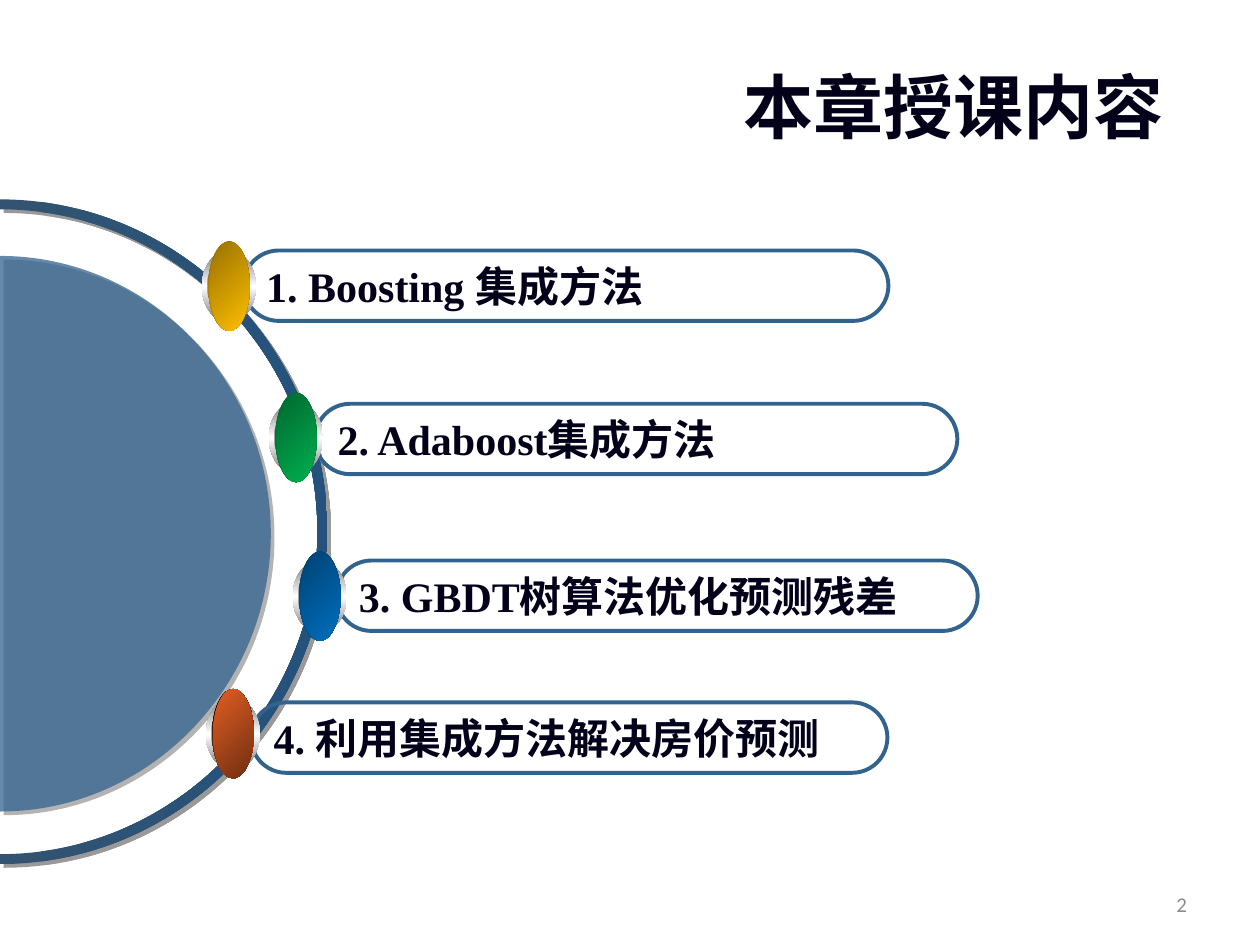
import copy

import pptx
import pptx.dml.color
import pptx.enum.shapes
import pptx.enum.text
import pptx.oxml
import pptx.oxml.ns
import pptx.util
from pptx.oxml.ns import qn
from pptx.util import Cm

SHAPES = pptx.enum.shapes.MSO_SHAPE
ALIGN = pptx.enum.text.PP_ALIGN
INK = "03001A"
BLUE = "32628E"
CJK = "Noto Sans CJK SC"
SERIF = "Times New Roman"
PILL_HEIGHT = 1.42
ARC_HANDLE = 0.55

TOPICS = [
    ([("4. 利用集成方法解决房价预测", SERIF)],
     (5.06, 14.16, 12.83), (4.15, 14.07), ["000000", "E35E23"], ["E35E23", "6E2E11"]),
    ([("3. GBDT树算法优化预测残差", SERIF)],
     (6.78, 11.3, 12.93), (5.9, 11.3), ["004271", "005EA1"], ["004271", "006FBF"]),
    ([("2. Adaboost集成方法", SERIF)],
     (6.35, 8.14, 12.95), (5.42, 8.1), ["00682F", "009443"], ["00682F", "00AF4F"]),
    ([("1. Boosting ", SERIF), ("集成方法", CJK)],
     (4.91, 5.05, 13), (4.07, 5.05), ["977100", "D6A100"], ["977100", "FFBF00"]),
]


def rgb(colour):
    return pptx.dml.color.RGBColor.from_string(colour)


def xml(markup):
    return pptx.oxml.parse_xml(markup.replace(">", f" {pptx.oxml.ns.nsdecls('a')}>", 1))


def format_run(run, size, font, colour, bold):
    run.font.size = pptx.util.Pt(size)
    run.font.name = font
    run.font.bold = bold
    run.font.color.rgb = rgb(colour)
    latin = run.font._element.find(qn("a:latin"))
    latin.addnext(xml(f'<a:ea typeface="{CJK}"></a:ea>'))


def fill_gradient(shape, colours, angle):
    shape.fill.gradient()
    shape.fill.gradient_angle = -angle % 360
    stop_list = shape._element.spPr.find(".//" + qn("a:gsLst"))
    for _ in colours[2:]:
        stop_list.append(copy.deepcopy(stop_list[-1]))
    for index, (stop, colour) in enumerate(zip(shape.fill.gradient_stops, colours)):
        stop.color.rgb = rgb(colour)
        stop.position = index / (len(colours) - 1)


def cast_shadow(shape):
    shape.shadow.inherit = False
    shape._element.spPr.find(qn("a:effectLst")).append(xml(
        '<a:outerShdw dist="38100" dir="2700000" algn="ctr" rotWithShape="0">'
        '<a:srgbClr val="000000"><a:alpha val="40000"/></a:srgbClr></a:outerShdw>'))


def half_ellipse(centre_y, radius_x, radius_y):
    return [(Cm(0), Cm(centre_y - radius_y)), (Cm(radius_x), Cm(centre_y)),
            (Cm(0), Cm(centre_y + radius_y))]


def round_quarters(outline):
    start_x = start_y = None
    for segment in list(outline._element.spPr.find(".//" + qn("a:path"))):
        point = segment.find(qn("a:pt"))
        if point is None:
            continue
        end_x, end_y = int(point.get("x")), int(point.get("y"))
        if segment.tag == qn("a:lnTo") and start_x != end_x:
            reach_x = round(ARC_HANDLE * (end_x - start_x))
            reach_y = round(ARC_HANDLE * (end_y - start_y))
            if start_x == 0:
                handles = [(start_x + reach_x, start_y), (end_x, end_y - reach_y)]
            else:
                handles = [(start_x, start_y + reach_y), (end_x - reach_x, end_y)]
            points = "".join(f'<a:pt x="{x}" y="{y}"/>' for x, y in handles + [(end_x, end_y)])
            curve = xml(f"<a:cubicBezTo>{points}</a:cubicBezTo>")
            segment.getparent().replace(segment, curve)
        start_x, start_y = end_x, end_y


def add_outline(slide, points):
    builder = slide.shapes.build_freeform(*points[0])
    builder.add_line_segments(points[1:], close=True)
    outline = builder.convert_to_shape()
    round_quarters(outline)
    outline.line.fill.background()
    cast_shadow(outline)
    return outline


def add_half_circles(slide):
    outer = half_ellipse(10.72, 6.6, 6.7)
    inner = half_ellipse(10.72, 6.4, 6.5)
    ring = add_outline(slide, outer + inner[::-1])
    fill_gradient(ring, ["335370", "24527D"], 0)

    disc = add_outline(slide, half_ellipse(10.76, 5.46, 5.6))
    disc.fill.solid()
    disc.fill.fore_color.rgb = rgb(BLUE)
    disc_colour = disc._element.spPr.find(qn("a:solidFill")).find(qn("a:srgbClr"))
    disc_colour.append(xml('<a:alpha val="75000"></a:alpha>'))


def add_pill(slide, texts, left, top, width):
    pill = slide.shapes.add_shape(
        SHAPES.ROUNDED_RECTANGLE, Cm(left), Cm(top), Cm(width), Cm(PILL_HEIGHT))
    pill.adjustments[0] = 0.5
    pill.shadow.inherit = False
    pill.fill.background()
    pill.line.color.rgb = rgb(BLUE)
    pill.line.width = pptx.util.Pt(2.25)
    frame = pill.text_frame
    frame.word_wrap = True
    frame.vertical_anchor = pptx.enum.text.MSO_ANCHOR.MIDDLE
    paragraph = frame.paragraphs[0]
    paragraph.alignment = ALIGN.LEFT
    for text, font in texts:
        run = paragraph.add_run()
        run.text = text
        format_run(run, 24, font, INK, True)


def add_bead(slide, left, top, shade, face):
    layers = [
        (0, 0, 1.09, 1.45, ["767676", "FFFFFF", "767676"], 90),
        (0.1, 0.15, 0.86, 1.14, ["A2A2A2", "FFFFFF", "A2A2A2"], 0),
        (0.13, -0.18, 0.84, 1.8, shade, 45),
        (0.15, -0.18, 0.81, 1.8, face, 45),
    ]
    for shift_x, shift_y, width, height, colours, angle in layers:
        layer = slide.shapes.add_shape(
            SHAPES.OVAL, Cm(left + shift_x), Cm(top + shift_y), Cm(width), Cm(height))
        layer.shadow.inherit = False
        layer.line.fill.background()
        fill_gradient(layer, colours, angle)


def set_title(slide, text):
    title = slide.shapes.title
    title.left, title.top, title.width, title.height = Cm(0.85), Cm(0.93), Cm(22.86), Cm(2.39)
    frame = title.text_frame
    frame.text = text
    frame.auto_size = pptx.enum.text.MSO_AUTO_SIZE.NONE
    frame.vertical_anchor = pptx.enum.text.MSO_ANCHOR.MIDDLE
    frame.paragraphs[0].alignment = ALIGN.RIGHT
    format_run(frame.paragraphs[0].runs[0], 40, CJK, INK, True)


def add_page_number(slide, number):
    box = slide.shapes.add_textbox(Cm(18.26), Cm(17.71), Cm(5.92), Cm(1.02))
    frame = box.text_frame
    frame.word_wrap = True
    frame.vertical_anchor = pptx.enum.text.MSO_ANCHOR.MIDDLE
    paragraph = frame.paragraphs[0]
    paragraph.text = number
    paragraph.alignment = ALIGN.RIGHT
    format_run(paragraph.runs[0], 12, "Calibri", "8C8C8C", False)


def main():
    presentation = pptx.Presentation()
    presentation.slide_width = Cm(25.4)
    presentation.slide_height = Cm(19.05)
    slide = presentation.slides.add_slide(presentation.slide_layouts[5])
    add_page_number(slide, "2")
    set_title(slide, "本章授课内容")
    add_half_circles(slide)
    for texts, pill_place, bead_place, shade, face in TOPICS:
        add_pill(slide, texts, *pill_place)
        add_bead(slide, *bead_place, shade, face)
    presentation.save("out.pptx")


if __name__ == "__main__":
    main()
